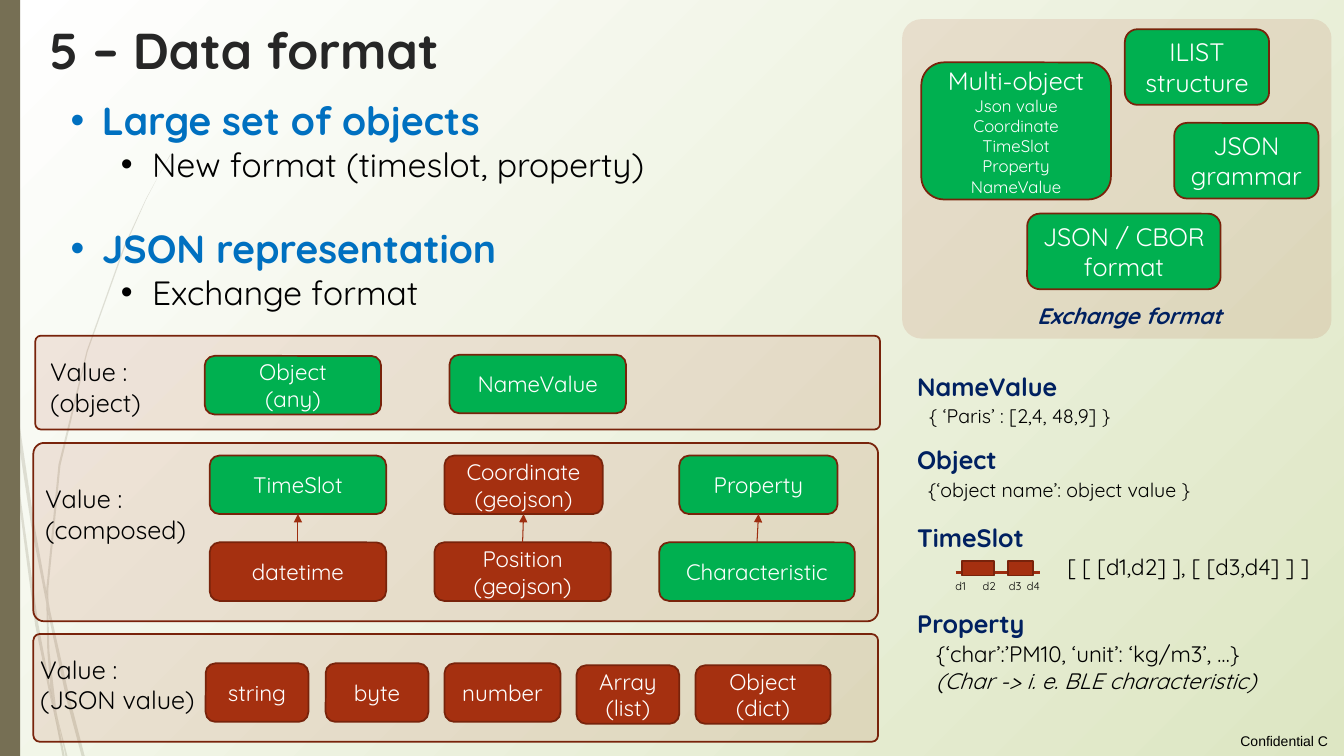
"""Builds the data format slide with its value layers and exchange format."""
from pptx import Presentation
from pptx.dml.color import RGBColor
from pptx.enum.shapes import MSO_CONNECTOR, MSO_SHAPE
from pptx.enum.text import MSO_ANCHOR, MSO_AUTO_SIZE, PP_ALIGN
from pptx.oxml.ns import qn
from pptx.oxml.xmlchemy import OxmlElement
from pptx.util import Pt

ROUNDED, RECTANGLE = MSO_SHAPE.ROUNDED_RECTANGLE, MSO_SHAPE.RECTANGLE
STRAIGHT = MSO_CONNECTOR.STRAIGHT
TOP, MIDDLE = MSO_ANCHOR.TOP, MSO_ANCHOR.MIDDLE
LEFT, CENTER = PP_ALIGN.LEFT, PP_ALIGN.CENTER
NO_FIT = MSO_AUTO_SIZE.NONE
TOP_SIDE, BOTTOM_SIDE = 0, 2

WHITE = RGBColor(0xFF, 0xFF, 0xFF)
BLACK = RGBColor(0x00, 0x00, 0x00)
CHARCOAL = RGBColor(0x26, 0x26, 0x26)
PALE_GREEN = RGBColor(0xDD, 0xE6, 0xC3)
OLIVE = RGBColor(0x76, 0x6F, 0x54)
RUST = RGBColor(0xA5, 0x30, 0x10)
RUST_EDGE = RGBColor(0x78, 0x23, 0x0B)
RUST_LINE = RGBColor(0x9D, 0x2D, 0x0F)
GREEN = RGBColor(0x00, 0xB0, 0x50)
BLUE = RGBColor(0x00, 0x70, 0xC0)
NAVY = RGBColor(0x00, 0x20, 0x60)

BLOCK_HEIGHT = 41.8
WISPS = [
    [(4.3, 252), (3.6, 231.8), (0, 203), (0, 215.3), (3.6, 247.7)],
    [(22.3, 375.8), (33.1, 431.3), (33.1, 421.9), (24.5, 374.4), (5.8, 248.4), (6.5, 270.7)],
    [(36, 437), (34.6, 429.1), (34.6, 439.2), (47.5, 499.7), (58.3, 540), (60.5, 540),
     (49.7, 498.2)],
    [(46.8, 540), (48.2, 540), (41, 511.9)],
    [(36, 491.8), (27.4, 445.7), (12.2, 337.7), (6.5, 270.7), (4.3, 252), (10.8, 338.4),
     (25.2, 447.1), (36, 499), (39.6, 514.1), (38.9, 509)],
    [(2.9, 227.5), (3.6, 231.8), (5, 247.7), (5.8, 248.4), (4.3, 226.8), (2.2, 115.9),
     (3.6, 18), (1.4, 115.9)],
    [(33.1, 431.3), (33.8, 465.1), (36, 491.8), (37.4, 498.2), (41, 511.9), (40.3, 508.3),
     (35.3, 465.1), (34.6, 439.2), (33.8, 437.8)],
    [(34.6, 420.5), (43.2, 332.6), (62.6, 251.3), (89.3, 176.4), (104.4, 142.6), (113, 126),
     (121.7, 110.9), (121.7, 110.2), (113, 126), (104.4, 141.8), (88.6, 175.7), (61.9, 250.6),
     (41.8, 331.9), (33.1, 420.5), (33.1, 421.9), (34.6, 429.1)],
    [(39.6, 514.1), (44.6, 540), (46.1, 540)],
    [(33.8, 437.8), (34.6, 439.2), (34.6, 429.1), (33.1, 421.9), (33.1, 431.3)],
    [(37.4, 498.2), (36, 491.8), (38.9, 509), (39.6, 514.1), (46.1, 540), (41, 511.9)],
]


class Sketch:
    """Holds the style and the current slide."""

    def __init__(self, page, font="Quicksand"):
        self.page = page
        self.shapes = page.shapes
        self.font = font

    def child(self, parent, tag, **attributes):
        element = OxmlElement(tag)
        for name, value in attributes.items():
            element.set(name, value)
        parent.append(element)
        return element

    def background(self, inner, outer):
        fill = self.page.background.fill
        fill.gradient()
        for stop, color, position in zip(fill.gradient_stops, (inner, outer), (0, 1)):
            stop.color.rgb = color
            stop.position = position
        gradient = self.page.element.find(".//" + qn("a:gradFill"))
        gradient.remove(gradient.find(qn("a:lin")))
        circle = self.child(gradient, "a:path", path="circle")
        self.child(circle, "a:fillToRect", r="100000", b="100000")

    def paint(self, shape, fill, edge=None, opacity=100):
        shape.shadow.inherit = False
        shape.fill.solid()
        shape.fill.fore_color.rgb = fill
        if opacity < 100:
            color = shape.element.spPr.find(qn("a:solidFill"))[0]
            self.child(color, "a:alpha", val=str(opacity * 1000))
        if edge is None:
            shape.line.fill.background()
        else:
            shape.line.color.rgb = edge
            shape.line.width = Pt(1.25)

    def style_para(self, para, size, color, bold=False, italic=False, align=LEFT):
        para.alignment = align
        for span in para.runs:
            font = span.font
            font.name, font.size, font.color.rgb = self.font, Pt(size), color
            font.bold, font.italic = bold, italic

    def wisp(self, points):
        corners = [(Pt(x), Pt(y)) for x, y in points]
        builder = self.shapes.build_freeform(*corners[0], scale=1.0)
        builder.add_line_segments(corners[1:], close=True)
        self.paint(builder.convert_to_shape(), OLIVE, opacity=20)

    def shape(self, kind, left, top, width, height, fill, edge=None, opacity=100):
        shape = self.shapes.add_shape(kind, Pt(left), Pt(top), Pt(width), Pt(height))
        self.paint(shape, fill, edge, opacity)
        return shape

    def panel(self, left, top, width, height, edge=None):
        panel = self.shape(ROUNDED, left, top, width, height, RUST, edge, 11)
        panel.adjustments[0] = 0.06

    def block(self, words, left, top, width, height=BLOCK_HEIGHT, fill=GREEN, size=16):
        block = self.shape(ROUNDED, left, top, width, height, fill, RUST_EDGE)
        frame = block.text_frame
        frame.word_wrap, frame.vertical_anchor = True, MIDDLE
        frame.text = words
        for para in frame.paragraphs:
            self.style_para(para, size, WHITE, align=CENTER)
        return block

    def caption(self, words, left, top, width, height, size, color=BLACK, wrap=True, **style):
        box = self.shapes.add_textbox(Pt(left), Pt(top), Pt(width), Pt(height))
        frame = box.text_frame
        frame.word_wrap = wrap
        frame.text = words
        for para in frame.paragraphs:
            self.style_para(para, size, color, **style)
        return box

    def line(self, start, end, width):
        line = self.shapes.add_connector(STRAIGHT, *map(Pt, start + end))
        line.line.color.rgb, line.line.width = RUST_LINE, Pt(width)
        self.child(line.element.spPr, "a:effectLst")
        return line

    def arrow(self, source, target):
        arrow = self.line((0, 0), (0, 0), 0.75)
        arrow.begin_connect(source, TOP_SIDE)
        arrow.end_connect(target, BOTTOM_SIDE)
        self.child(arrow.element.spPr.find(qn("a:ln")), "a:tailEnd", type="triangle")

    def placeholder(self, holder, left, top, width, height, words):
        holder.left, holder.top, holder.width, holder.height = map(Pt, (left, top, width, height))
        holder.element.getparent().append(holder.element)
        frame = holder.text_frame
        frame.word_wrap, frame.vertical_anchor, frame.auto_size = True, TOP, NO_FIT
        frame.text = words
        return frame

    def title(self, words):
        frame = self.placeholder(self.shapes.title, 28.1, 10.1, 702, 63.4, words)
        self.style_para(frame.paragraphs[0], 36, CHARCOAL, bold=True)

    def body(self, items):
        words = "\n".join(text for text, _, _ in items)
        frame = self.placeholder(self.page.placeholders[1], 43.2, 65.5, 567.4, 162.7, words)
        for para, (_, level, gap) in zip(frame.paragraphs, items):
            color = BLACK if level else BLUE
            para.level, para.space_before = level, Pt(gap)
            self.style_para(para, 24 if level else 28, color, bold=not level)
            properties = para._p.get_or_add_pPr()
            properties.set("marL", str(Pt(58.3 if level else 22.3)))
            properties.set("indent", str(Pt(-22.3)))
            bullet_color = self.child(properties, "a:buClr")
            self.child(bullet_color, "a:srgbClr", val=str(color))
            self.child(properties, "a:buFont", typeface="Arial")
            self.child(properties, "a:buChar", char="•")


def main():
    deck = Presentation()
    deck.slide_width, deck.slide_height = Pt(960), Pt(540)
    sketch = Sketch(deck.slides.add_slide(deck.slide_layouts[1]))
    sketch.background(WHITE, PALE_GREEN)
    for points in WISPS:
        sketch.wisp(points)
    sketch.shape(RECTANGLE, 0, 0, 14.4, 540, OLIVE)

    sketch.panel(644.4, 13.7, 306.7, 228.2)
    for left, top, height in ((25.2, 239.8, 67), (23.8, 452.9, 77), (23.8, 316.4, 127.4)):
        sketch.panel(left, top, 603.4, height, RUST_EDGE)

    sketch.title("5 – Data format")
    sketch.body([
        ("Large set of objects", 0, 0),
        ("New format (timeslot, property)", 1, 0),
        ("JSON representation", 0, 29),
        ("Exchange format", 1, 0),
    ])

    for kind, left, top in (("object", 28.8, 251.3), ("composed", 25.2, 342),
                            ("JSON value", 21.6, 463.7)):
        sketch.caption(f"Value :\n({kind})", left, top, 135, 51, 18)

    sketch.block("Object\n(any)", 146.2, 254.2, 126)
    sketch.block("NameValue", 321.1, 253.4, 126)

    composed = [
        (("datetime", 149.8, 126, RUST), ("TimeSlot", 149.8, 126, GREEN)),
        (("Position\n(geojson)", 310.3, 126, RUST), ("Coordinate\n(geojson)", 317.5, 113, RUST)),
        (("Characteristic", 470.9, 139.7, GREEN), ("Property", 485.3, 113, GREEN)),
    ]
    for pair in composed:
        source, target = [sketch.block(words, left, top, width, fill=fill)
                          for (words, left, width, fill), top in zip(pair, (387.4, 325.4))]
        sketch.arrow(source, target)

    for words, left, top, width in (
            ("string", 146.9, 473.8, 73.4), ("byte", 232.6, 473.8, 73.4),
            ("number", 317.5, 473.8, 82.8), ("Array\n(list)", 411.8, 475.2, 73.4),
            ("Object (dict)", 496.8, 475.2, 96.5)):
        sketch.block(words, left, top, width, fill=RUST)

    multi = sketch.block("Multi-object\nJson value\nCoordinate\nTimeSlot\nProperty\nNameValue",
                         658.1, 44.6, 135.4, 97.9, size=18)
    for para in multi.text_frame.paragraphs[1:]:
        sketch.style_para(para, 12, WHITE, align=CENTER)
    for words, left, top, width in (
            ("ILIST\nstructure", 803.5, 20.9, 103), ("JSON grammar", 838.8, 87.8, 103),
            ("JSON / CBOR format", 733.7, 152.6, 138.2)):
        sketch.block(words, left, top, width, 54, size=18)
    sketch.caption("Exchange format", 733.7, 212.4, 149, 26.6, 16, NAVY, bold=True, italic=True)

    for words, top in (("NameValue", 261.4), ("Object", 313.9), ("TimeSlot", 369.4),
                       ("Property", 431.3)):
        sketch.caption(words, 648, top, 135.4, 28.8, 18, NAVY, bold=True)
    sketch.caption("{ ‘Paris’ : [2,4, 48,9] }", 656.6, 285.1, 300, 24.5, 14)
    sketch.caption("{‘object name’: object value }", 655.9, 337.7, 300, 24.5, 14)
    sketch.caption("[ [ [d1,d2] ], [ [d3,d4] ] ]", 755.3, 391.7, 198.7, 26.6, 16)
    example = sketch.caption("{‘char’:’PM10, ‘unit’: ‘kg/m3’, …}\n(Char -> i. e. BLE characteristic)",
                             661.7, 453.6, 278.6, 65.5, 16)
    sketch.style_para(example.text_frame.paragraphs[1], 16, BLACK, italic=True)

    sketch.line((682.6, 409), (743, 409), 2.25)
    for left, width in ((686.9, 23), (720, 18)):
        sketch.shape(RECTANGLE, left, 401, width, 10.1, RUST, RUST_EDGE)
    for words, left in (("d1", 675.4), ("d2", 694.8), ("d3", 713.5), ("d4", 726.5)):
        sketch.caption(words, left, 410.4, 24.5, 17.3, 8, wrap=False)

    footer = Sketch(sketch.page, "Arial")
    footer.caption("Confidential C", 874.8, 519.8, 85, 19.4, 10, align=CENTER)
    deck.save("out.pptx")


if __name__ == "__main__":
    main()
